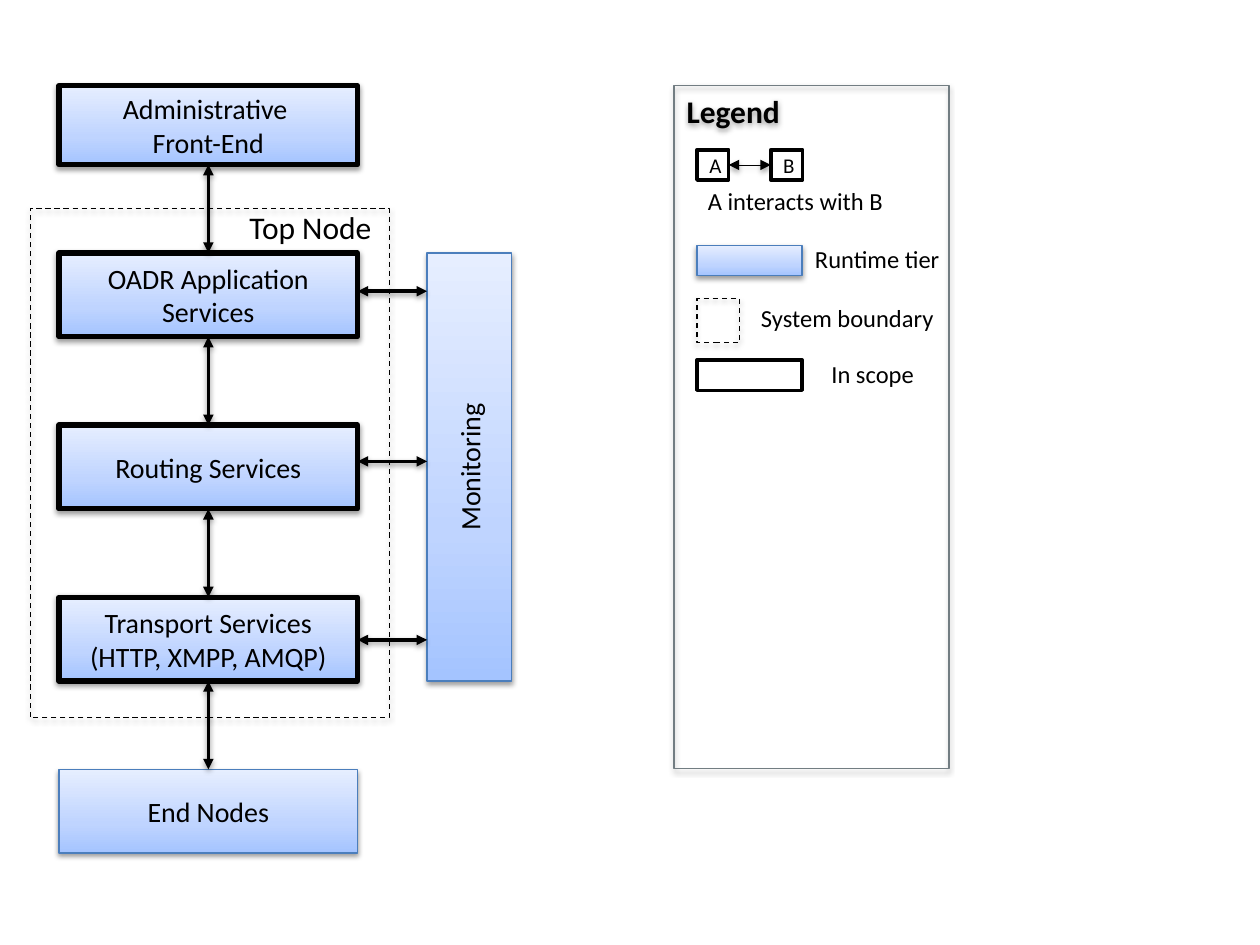
import copy
from dataclasses import dataclass

import pptx
import pptx.dml.color
import pptx.enum.dml
import pptx.enum.shapes
import pptx.enum.text
import pptx.oxml
import pptx.oxml.ns
import pptx.util

Cm = pptx.util.Cm
Pt = pptx.util.Pt
Align = pptx.enum.text.PP_ALIGN
Anchor = pptx.enum.text.MSO_ANCHOR
Connector = pptx.enum.shapes.MSO_CONNECTOR
qn = pptx.oxml.ns.qn
TOP, LEFT, BOTTOM, RIGHT = range(4)


@dataclass(frozen=True)
class Theme:
    font: str = "Calibri"
    ink: str = "000000"
    paper: str = "FFFFFF"
    blue_line: str = "4B7EBC"
    gray_line: str = "727D82"
    gradient: tuple = ((0, "A4C4FF"), (0.35, "BFD4FF"), (1, "E6EEFF"))
    title: int = 18
    tier: int = 16
    label: int = 14
    small: int = 12
    # Shadows as (opacity %, distance in points)
    solid_shadow: tuple = (38, 1.6)
    dash_shadow: tuple = (35, 1.8)


THEME = Theme()


def rgb(value):
    return pptx.dml.color.RGBColor.from_string(value)


def add_shadow(properties, shadow):
    """Give shape properties a soft downward shadow, or none at all."""
    effects = properties.find(qn("a:effectLst"))
    if effects is None:
        effects = pptx.oxml.ns.qn("a:effectLst")
        effects = properties.makeelement(effects, {})
        properties.append(effects)
    if shadow is None:
        return
    opacity, distance = shadow
    effects.append(pptx.oxml.parse_xml(
        f'<a:outerShdw {pptx.oxml.ns.nsdecls("a")} blurRad="{Pt(3.1)}" '
        f'dist="{Pt(distance)}" dir="5400000" rotWithShape="0">'
        f'<a:srgbClr val="{THEME.ink}"><a:alpha val="{opacity * 1000}"/>'
        '</a:srgbClr></a:outerShdw>'))


def fill_gradient(shape):
    shape.fill.gradient()
    shape.fill.gradient_angle = 90
    stops = shape._element.spPr.find(".//" + qn("a:gsLst"))
    stops.append(copy.deepcopy(stops[0]))
    for stop, (position, color) in zip(shape.fill.gradient_stops, THEME.gradient):
        stop.position = position
        stop.color.rgb = rgb(color)


def write(shape, lines, size, align=Align.LEFT, bold=None):
    for index, line in enumerate(lines):
        frame = shape.text_frame
        para = frame.add_paragraph() if index else frame.paragraphs[0]
        para.alignment = align
        span = para.add_run()
        span.text = line
        span.font.name = THEME.font
        span.font.size = Pt(size)
        span.font.bold = bold
        span.font.color.rgb = rgb(THEME.ink)


def add_box(page, place, line, width, fill=None, shadow=None, dashed=False):
    """Add a rectangle; fill is a colour, "gradient" or None."""
    box = page.shapes.add_shape(
        pptx.enum.shapes.MSO_SHAPE.RECTANGLE, *map(Cm, place))
    if fill == "gradient":
        fill_gradient(box)
    elif fill:
        box.fill.solid()
        box.fill.fore_color.rgb = rgb(fill)
    else:
        box.fill.background()
    box.line.color.rgb = rgb(line)
    box.line.width = Pt(width)
    if dashed:
        box.line.dash_style = pptx.enum.dml.MSO_LINE.DASH
    box.shadow.inherit = False
    add_shadow(box._element.spPr, shadow)
    box.text_frame.vertical_anchor = Anchor.MIDDLE
    return box


def add_tier(page, place, lines=(), in_scope=False):
    line, width = (THEME.ink, 3) if in_scope else (THEME.blue_line, 0.75)
    box = add_box(page, place, line, width, "gradient", THEME.solid_shadow)
    write(box, lines, THEME.tier, Align.CENTER)
    return box


def add_boundary(page, place):
    add_box(page, place, THEME.ink, 0.75, shadow=THEME.dash_shadow, dashed=True)


def add_label(page, place, text, size):
    box = page.shapes.add_textbox(*map(Cm, place))
    box.text_frame.word_wrap = False
    box.text_frame.auto_size = pptx.enum.text.MSO_AUTO_SIZE.SHAPE_TO_FIT_TEXT
    write(box, [text], size)


def add_arrow(page, ends=(0, 0, 0, 0), width=2, kind=Connector.STRAIGHT,
              shadow=THEME.solid_shadow):
    """Add a connector with a triangle at both ends."""
    arrow = page.shapes.add_connector(kind, *map(Cm, ends))
    arrow.line.color.rgb = rgb(THEME.ink)
    arrow.line.width = Pt(width)
    outline = arrow.line._get_or_add_ln()
    for name in ("a:headEnd", "a:tailEnd"):
        outline.append(outline.makeelement(qn(name), {"type": "triangle"}))
    add_shadow(arrow._element.spPr, shadow)
    return arrow


def join(arrow, start, start_side, end, end_side):
    arrow.begin_connect(start, start_side)
    arrow.end_connect(end, end_side)


def add_architecture(page):
    left, width, height = 1.19, 6.02, 1.69
    first, pitch = 5.1, 3.47
    monitor_left = 8.61

    tiers = [add_tier(page, (left, 1.73, width, 1.59),
                      ["Administrative ", "Front-End"], True)]
    names = (["OADR Application Services"], ["Routing Services"],
             ["Transport Services", "(HTTP, XMPP, AMQP)"], ["End Nodes"])
    for row, lines in enumerate(names):
        place = (left, first + row * pitch, width, height)
        tiers.append(add_tier(page, place, lines, in_scope=row < 3))
    for upper, lower in zip(tiers, tiers[1:]):
        join(add_arrow(page), upper, BOTTOM, lower, TOP)

    add_boundary(page, (0.61, 4.2, 7.24, 10.27))
    monitor = add_tier(page, (monitor_left, first, 1.7, 2 * pitch + height),
                       ["Monitoring"])
    monitor.text_frame._txBody.bodyPr.set("vert", "vert270")
    for y in (5.87, 9.3, 12.9):
        add_arrow(page, (monitor_left, y, left + width, y))
    add_label(page, (4.78, 4.06, 3.05, 1.02), "Top Node", THEME.title)


def add_legend(page):
    panel = add_box(page, (13.59, 1.73, 5.54, 13.77), THEME.gray_line, 0.75,
                    shadow=THEME.solid_shadow)
    panel.text_frame.vertical_anchor = Anchor.TOP
    write(panel, ["Legend"], THEME.title, bold=True)

    left, height, swatch = 14.05, 0.61, 2.12
    pair = []
    for x, letter in ((left, "A"), (15.54, "B")):
        box = add_box(page, (x, 3.02, 0.64, height), THEME.ink, 2, THEME.paper)
        write(box, [letter], THEME.small)
        pair.append(box)
    arrow = add_arrow(page, width=0.25, kind=Connector.ELBOW,
                      shadow=THEME.dash_shadow)
    join(arrow, pair[0], RIGHT, pair[1], LEFT)

    add_tier(page, (left, 4.95, swatch, height))
    add_boundary(page, (left, 6.02, 0.86, 0.89))
    add_box(page, (left, 7.26, swatch, height), THEME.ink, 2, THEME.paper)
    for x, y, width, text in ((14.02, 3.63, 4.09, "A interacts with B"),
                              (16.18, 4.8, 3.05, "Runtime tier"),
                              (15.09, 5.99, 4.04, "System boundary"),
                              (16.51, 7.11, 2.18, "In scope")):
        add_label(page, (x, y, width, 0.86), text, THEME.label)


def main():
    deck = pptx.Presentation()
    deck.slide_width, deck.slide_height = Cm(25.4), Cm(19.05)
    page = deck.slides.add_slide(deck.slide_layouts[6])
    add_architecture(page)
    add_legend(page)
    deck.save("out.pptx")


if __name__ == "__main__":
    main()
